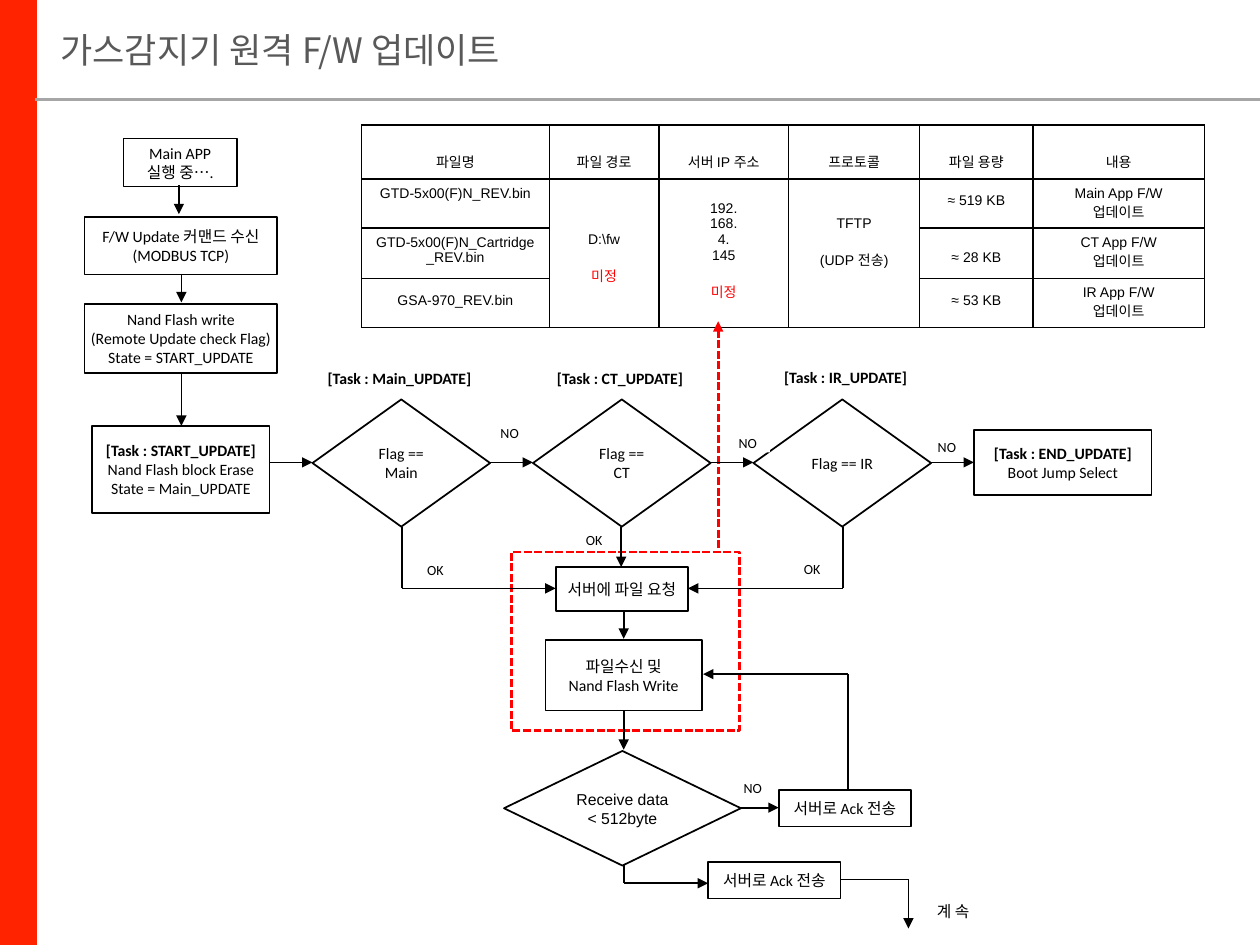
from lxml.etree import SubElement
from pptx import Presentation
from pptx.dml.color import RGBColor
from pptx.enum.dml import MSO_LINE
from pptx.enum.shapes import MSO_CONNECTOR, MSO_SHAPE
from pptx.enum.text import MSO_ANCHOR, PP_ALIGN
from pptx.oxml.ns import qn
from pptx.util import Inches, Pt

BLACK, WHITE, RED, GRAY = "000000", "FFFFFF", "FF0000", "A6A6A6"


def color(code):
    return RGBColor.from_string(code)


class Flow:
    cols, rows = 100, 75
    base = {"name": "Calibri", "size": Pt(9), "bold": False}
    small = {"size": Pt(8)}
    cell = {"name": "Arial", "size": Pt(8)}

    def __init__(self):
        self.deck = Presentation()
        self.deck.slide_width, self.deck.slide_height = Inches(10), Inches(7.5)
        self.slide = self.deck.slides.add_slide(self.deck.slide_layouts[5])
        self.shapes = self.slide.shapes

    def x(self, col):
        return round(self.deck.slide_width * col / self.cols)

    def y(self, row):
        return round(self.deck.slide_height * row / self.rows)

    def area(self, left, top, width, height):
        return self.x(left), self.y(top), self.x(width), self.y(height)

    def font(self, font, style, ink=BLACK):
        for key, value in {**self.base, **style}.items():
            setattr(font, key, value)
        font.color.rgb = color(ink)

    def words(self, frame, lines, style, align=PP_ALIGN.CENTER):
        frame.word_wrap = True
        for i, line in enumerate(lines):
            para = frame.paragraphs[0] if i == 0 else frame.add_paragraph()
            para.alignment = align
            run = para.add_run()
            run.text = line
            look = {**style, "bold": True} if line.startswith("[") else style
            self.font(run.font, look)

    def pad(self, frame, sides):
        names = ("left", "top", "right", "bottom")
        for name, side in zip(names, sides):
            setattr(frame, f"margin_{name}", Inches(side))

    def title(self, text, area):
        shape = self.shapes.title
        shape.left, shape.top, shape.width, shape.height = self.area(*area)
        frame = shape.text_frame
        frame.vertical_anchor = MSO_ANCHOR.MIDDLE
        self.pad(frame, (0.2, 0, 0, 0))
        self.words(frame, [text], {}, PP_ALIGN.LEFT)
        self.font(frame.paragraphs[0].runs[0].font,
                  {"name": "Noto Sans CJK KR", "size": Pt(20)}, "595959")

    def box(self, area, lines=(), kind=MSO_SHAPE.RECTANGLE, fill=WHITE,
            edge=BLACK, width=1, dash=None, style={}):
        shape = self.shapes.add_shape(kind, *self.area(*area))
        shape.shadow.inherit = False
        if fill:
            shape.fill.solid()
            shape.fill.fore_color.rgb = color(fill)
        else:
            shape.fill.background()
        if edge:
            shape.line.color.rgb = color(edge)
            shape.line.width = Pt(width)
            shape.line.dash_style = dash
        else:
            shape.line.fill.background()
        frame = shape.text_frame
        frame.vertical_anchor = MSO_ANCHOR.MIDDLE
        if kind == MSO_SHAPE.RECTANGLE:
            self.pad(frame, (0.02,) * 4)
        self.words(frame, lines, style)

    def test(self, area, text, style={}):
        self.box(area, [text], MSO_SHAPE.DIAMOND, None, style=style)

    def label(self, area, text, style={}):
        self.box(area, [text], edge=None, style=style)

    def route(self, *points, ink=BLACK, width=1, dash=None, head=True):
        for start, end in zip(points, points[1:]):
            line = self.shapes.add_connector(
                MSO_CONNECTOR.STRAIGHT, self.x(start[0]), self.y(start[1]),
                self.x(end[0]), self.y(end[1]))
            line.line.color.rgb = color(ink)
            line.line.width = Pt(width)
            line.line.dash_style = dash
            props = line._element.spPr
            if head and end == points[-1]:
                SubElement(props.find(qn("a:ln")), qn("a:tailEnd"), type="triangle")
            SubElement(props, qn("a:effectLst"))

    def border(self, cell):
        props = cell._tc.get_or_add_tcPr()
        for side in ("lnL", "lnR", "lnT", "lnB"):
            edge = SubElement(props, qn(f"a:{side}"), w=str(Pt(1)))
            fill = SubElement(edge, qn("a:solidFill"))
            SubElement(fill, qn("a:srgbClr"), val=BLACK)
        cell.fill.background()

    def table(self, area, widths, heights, data, spans):
        grid = self.shapes.add_table(len(heights), len(widths), *self.area(*area)).table
        grid.first_row = grid.horz_banding = False
        for col, width in zip(grid.columns, widths):
            col.width = self.x(width)
        for row, height in zip(grid.rows, heights):
            row.height = self.y(height)
        for cell in grid.iter_cells():
            self.border(cell)
        for col in spans:
            grid.cell(1, col).merge(grid.cell(len(heights) - 1, col))
        for (row, col), (lines, space) in data.items():
            frame = grid.cell(row, col).text_frame
            self.words(frame, lines, self.cell)
            for para in frame.paragraphs:
                para.line_spacing = space
        for col, (top, gap) in spans.items():
            cell = grid.cell(1, col)
            cell.margin_top, cell.margin_bottom = self.y(top), 0
            last = cell.text_frame.paragraphs[-1]
            last.space_before = Pt(gap)
            if last.text == "미정":
                last.runs[0].font.color.rgb = color(RED)


def main():
    flow = Flow()
    flow.title("가스감지기 원격 F/W 업데이트", (2.8, 0, 97.2, 7.9))
    flow.box((0, 0, 2.8, 75), fill="FF2300", edge="FF2300", width=2)
    flow.route((2.8, 7.9), (100, 7.9), ink=GRAY, width=1.5, head=False)

    data = {(0, i): ([text], 2) for i, text in enumerate(
        ["파일명", "파일 경로", "서버 IP 주소", "프로토콜", "파일 용량", "내용"])}
    files = [("GTD-5x00(F)N_REV.bin", 1, "≈ 519 KB", 1.5, "Main"),
             ("GTD-5x00(F)N_Cartridge_REV.bin", 1, "≈ 28 KB", 2, "CT"),
             ("GSA-970_REV.bin", 1.5, "≈ 53 KB", 1.5, "IR")]
    for row, (name, gap, size, space, app) in enumerate(files, 1):
        data[row, 0] = [name], gap
        data[row, 4] = [size], space
        data[row, 5] = [f"{app} App F/W", "업데이트"], 1
    data[1, 1] = ["D:\\fw", "미정"], 1
    data[1, 2] = ["192.", "168.", "4.", "145", "미정"], 1
    data[1, 3] = ["TFTP", "(UDP 전송)"], 1
    flow.table((28.7, 9.9, 66.9, 16), (14.9, 8.7, 10.3, 10.4, 9, 13.6),
               (4.3, 3.9, 4, 3.8), data,
               {1: (4.2, 10), 2: (1.7, 10), 3: (2.9, 10)})

    for area, lines in [
        ((9.8, 11, 9, 3.8), ["Main APP", "실행 중…."]),
        ((6.7, 17.2, 15.3, 4.6), ["F/W Update 커맨드 수신", "(MODBUS TCP)"]),
        ((6.7, 24.1, 15.3, 5.5), ["Nand Flash write", "(Remote Update check Flag)",
                                  "State = START_UPDATE"]),
        ((7.3, 33.8, 14.1, 6.9), ["[Task : START_UPDATE]", "Nand Flash block Erase",
                                  "State = Main_UPDATE"]),
        ((77.3, 34.1, 14.1, 5.2), ["[Task : END_UPDATE]", "Boot Jump Select"]),
        ((44.1, 45, 10.5, 3.5), ["서버에 파일 요청"]),
        ((43.3, 50.8, 12.4, 5.6), ["파일수신 및", "Nand Flash Write"]),
        ((61.8, 62.7, 10.5, 2.9), ["서버로 Ack 전송"]),
        ((56.2, 68.4, 10.5, 2.9), ["서버로 Ack 전송"]),
    ]:
        flow.box(area, lines)

    step, mid = 17.5, 36.7
    heads = [(24.3, 28.5), (41.8, 28.5), (59.7, 28.4)]
    for i, (app, spot) in enumerate(zip(["Main", "CT", "IR"], heads)):
        flow.test((24.8 + step * i, 31.7, 14.1, 10.1), f"Flag == {app}")
        flow.label((*spot, 14.8, 3), f"[Task : {app}_UPDATE]")
    flow.test((40, 59.6, 18.8, 9.1), "Receive data < 512byte", {"name": "Arial"})

    for text, spots in {
        "NO": [(38.7, 33.6), (57.6, 34.4), (73.4, 34.7), (58, 61.8)],
        "OK": [(32.8, 44.5), (45.4, 42.1), (62.7, 44.4)],
    }.items():
        for spot in spots:
            flow.label((*spot, 3.5, 1.5), text, flow.small)
    flow.label((72.5, 70.8, 6.3, 3), "계 속", {"name": "Arial"})

    dash = {"width": 1.5, "dash": MSO_LINE.SQUARE_DOT}
    flow.box((40.6, 43.8, 18.1, 14.2), fill=None, edge=RED, **dash)
    flow.route((57, 43.5), (57, 25.5), ink=RED, **dash)

    for i in range(4):
        flow.route((21.4 + step * i, mid), (24.8 + step * i, mid))
    for col, top, end in [(14.2, 14.7, 17), (14.4, 21.8, 24), (14.4, 29.6, 33.8),
                          (49.3, 41.8, 45), (49.5, 48.5, 50.7), (49.5, 56.4, 59.5)]:
        flow.route((col, top), (col, end))
    for col, end in [(31.9, 44.1), (66.9, 54.6)]:
        flow.route((col, 41.8), (col, 46.7), (end, 46.7))
    flow.route((58.7, 64.1), (61.8, 64.1))
    flow.route((67.3, 62.6), (67.3, 53.5), (55.8, 53.5))
    flow.route((49.5, 68.6), (49.5, 70.1), (56.2, 70.1))
    flow.route((66.7, 69.8), (72.1, 69.8), (72.1, 73.7))

    flow.deck.save("out.pptx")


if __name__ == "__main__":
    main()
